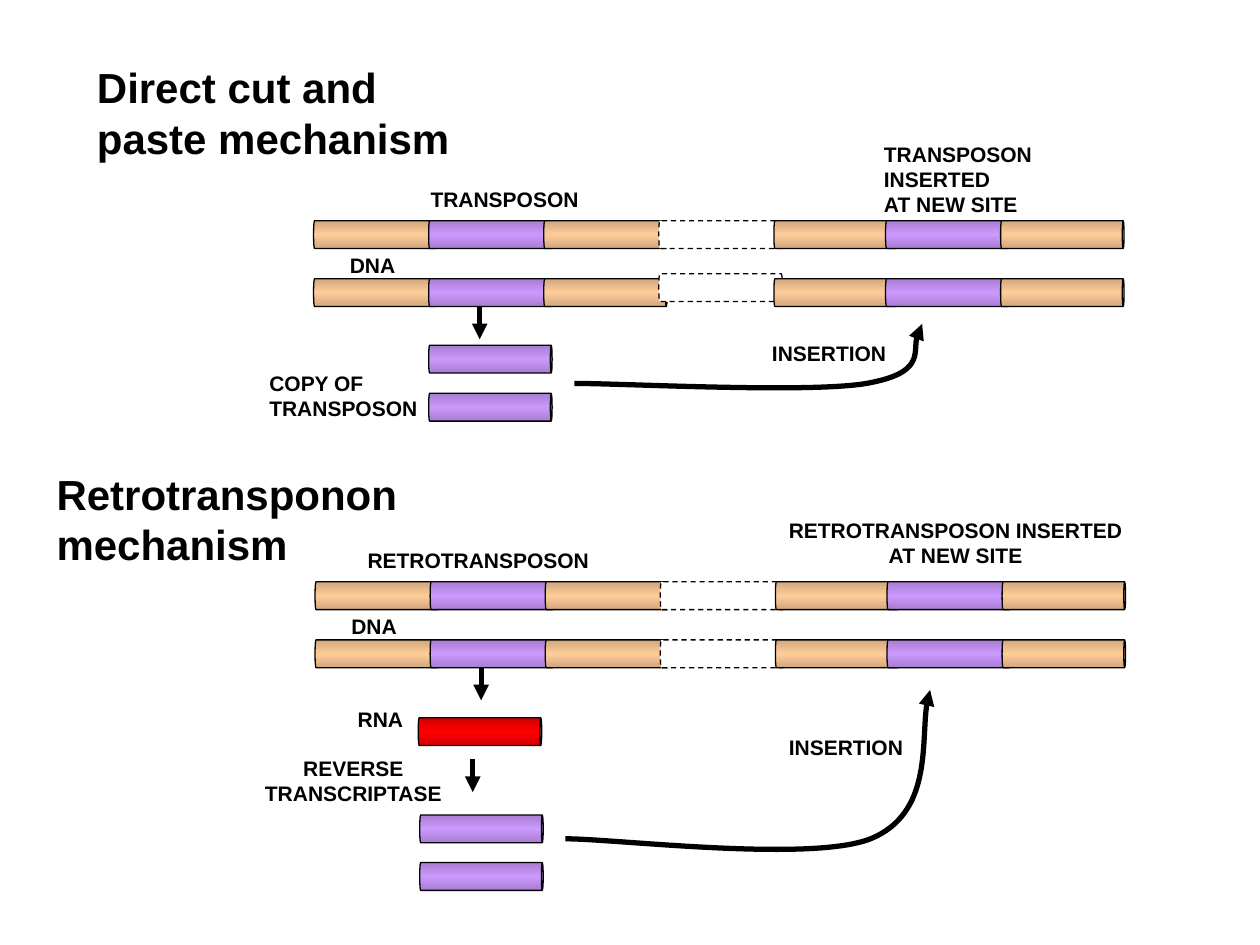
from copy import deepcopy

from lxml.etree import SubElement
from pptx import Presentation
from pptx.dml.color import RGBColor as Rgb
from pptx.enum.dml import MSO_LINE as Dash
from pptx.enum.shapes import MSO_CONNECTOR as Conn, MSO_SHAPE as Kind
from pptx.enum.text import MSO_ANCHOR as Anchor, MSO_AUTO_SIZE as Fit, PP_ALIGN as Align
from pptx.oxml.ns import qn
from pptx.util import Cm, Pt

INK = {"black": "000000", "white": "FFFFFF"}
# Edge and middle shade of each bar
SHADES = {
    "dna": ("D1A77D", "FFCC99"),
    "jump": ("A77DD1", "CC99FF"),
    "rna": ("D10000", "FF0000"),
}
STRAND = ("dna", "jump", "dna", "gap", "dna", "jump", "dna")
BAR_W, BAR_H = 2.49, 0.56
STEP, ROW = 2.32, 1.17
LEFT, MID = Align.LEFT, Align.CENTER


def ink(name):
    return Rgb.from_string(INK[name])


def write(shape, text, size, align=LEFT):
    frame = shape.text_frame
    frame.word_wrap = True
    frame.auto_size = Fit.NONE
    frame.vertical_anchor = Anchor.TOP
    para = frame.paragraphs[0]
    para.alignment = align
    for i, line in enumerate(text.split("\n")):
        if i:
            para.add_line_break()
        run = para.add_run()
        run.text = line
        font = run.font
        font.name, font.size, font.bold = "Arial", Pt(size), True
        font.color.rgb = ink("black")


def label(slide, x, y, w, h, text, align=MID, back=False):
    box = slide.shapes.add_textbox(Cm(x), Cm(y), Cm(w), Cm(h))
    if back:
        box.fill.solid()
        box.fill.fore_color.rgb = ink("white")
    write(box, text, 12, align)


def bar(slide, x, y, kind):
    """Draw a can lying on its side, with its top left corner at x, y."""
    turn = (BAR_W - BAR_H) / 2
    can = slide.shapes.add_shape(
        Kind.CAN, Cm(x + turn), Cm(y - turn), Cm(BAR_H), Cm(BAR_W))
    can.rotation = 90
    can.adjustments[0] = 0.065
    can.shadow.inherit = False
    can.line.color.rgb = ink("black")
    can.line.width = Pt(0.75)
    if kind == "gap":
        can.fill.solid()
        can.fill.fore_color.rgb = ink("white")
        can.line.dash_style = Dash.DASH
        return
    can.fill.gradient()
    can.fill.gradient_angle = 0
    stops = can.element.spPr.find(".//" + qn("a:gsLst"))
    stops.append(deepcopy(stops[0]))
    edge, core = SHADES[kind]
    for i, (stop, tone) in enumerate(zip(can.fill.gradient_stops, (edge, core, edge))):
        stop.position = i / 2
        stop.color.rgb = Rgb.from_string(tone)


def strands(slide, x, y, lift):
    """Draw both DNA strands; lift raises the lower gap."""
    for row in range(2):
        for i, kind in enumerate(STRAND):
            left = x + i * STEP - (0.07 if i > 4 else 0)
            rise = lift if row and kind == "gap" else 0
            bar(slide, left, y + row * ROW - rise, kind)


def point(shape):
    """Style a line as a thick black arrow."""
    shape.line.color.rgb = ink("black")
    shape.line.width = Pt(3)
    SubElement(shape.element.spPr.find(qn("a:ln")), qn("a:tailEnd"), type="triangle")


def drop(slide, x, y):
    arrow = slide.shapes.add_connector(Conn.STRAIGHT, Cm(x), Cm(y), Cm(x), Cm(y + 0.66))
    point(arrow)
    SubElement(arrow.element.spPr, qn("a:effectLst"))


def curve(slide, x, y, dots):
    """Draw an arrow through cubic curves: a start, then three dots per curve."""
    dots = [(Cm(x + dx), Cm(y + dy)) for dx, dy in dots]
    form = slide.shapes.build_freeform(*dots[0])
    form.add_line_segments(dots[1:], close=False)
    arrow = form.convert_to_shape()
    arrow.fill.background()
    arrow.shadow.inherit = False
    point(arrow)
    track = arrow.element.spPr.find(".//" + qn("a:path"))
    legs = track.findall(qn("a:lnTo"))
    for i in range(0, len(legs), 3):
        bend = SubElement(track, qn("a:cubicBezTo"))
        for leg in legs[i:i + 3]:
            bend.append(leg[0])
            track.remove(leg)


def panel(slide, x, y, head, title, bars, drops, dots, labels, lift=0):
    """Draw one mechanism; x, y is the top left corner of its upper strand."""
    dx, dy, text = title
    head.left, head.top, head.width, head.height = (
        Cm(x + dx), Cm(y + dy), Cm(8.41), Cm(2.29))
    write(head, text, 24)
    strands(slide, x, y, lift)
    for dx, dy, kind in bars:
        bar(slide, x + dx, y + dy, kind)
    for dx, dy in drops:
        drop(slide, x + dx, y + dy)
    curve(slide, x, y, dots)
    label(slide, x - 0.64, y + 0.51, 3.66, 0.66, "DNA")
    for dx, dy, *rest in labels:
        label(slide, x + dx, y + dy, *rest)


def main():
    deck = Presentation()
    deck.slide_width, deck.slide_height = Cm(25.4), Cm(19.05)
    slide = deck.slides.add_slide(deck.slide_layouts[5])
    panel(
        slide, 6.32, 4.45, slide.shapes.title,
        title=(-4.62, -3.33, "Direct cut and paste mechanism"),
        bars=[(STEP, 2.51, "jump"), (STEP, 3.48, "jump")],
        drops=[(3.35, 1.73)],
        dots=[(5.26, 3.28), (6.25, 3.28), (9.98, 3.48), (11.15, 3.28),
              (12.32, 3.07), (12.04, 2.34), (12.27, 2.08)],
        labels=[
            (2.11, -0.81, 3.66, 0.66, "TRANSPOSON", LEFT, True),
            (-1.14, 2.9, 4.52, 2.03, "COPY OF TRANSPOSON", LEFT),
            (11.25, -1.73, 3.58, 1.85, "TRANSPOSON INSERTED\nAT NEW SITE", LEFT),
            (8.59, 2.29, 3.61, 1.19, "INSERTION"),
        ],
        lift=0.1,
    )
    panel(
        slide, 6.35, 11.73, slide.shapes.add_textbox(0, 0, 0, 0),
        title=(-5.46, -2.41, "Retrotransponon mechanism"),
        bars=[(2.08, 2.74, "rna"), (2.11, 4.7, "jump"), (2.11, 5.66, "jump")],
        drops=[(3.35, 1.73), (3.18, 3.58)],
        dots=[(5.05, 5.18), (6.07, 5.18), (9.98, 5.66), (11.2, 5.18),
              (12.45, 4.67), (12.17, 2.82), (12.4, 2.18)],
        labels=[
            (0.81, -0.81, 5.33, 0.66, "RETROTRANSPOSON", LEFT, True),
            (-0.51, 2.39, 3.66, 0.66, "RNA"),
            (-1.45, 3.38, 4.45, 2.06, "REVERSE TRANSCRIPTASE"),
            (8.48, 2.95, 4.45, 2.06, "INSERTION"),
            (8.56, -1.42, 8.71, 1.85, "RETROTRANSPOSON INSERTED\nAT NEW SITE"),
        ],
    )
    deck.save("out.pptx")


if __name__ == "__main__":
    main()
